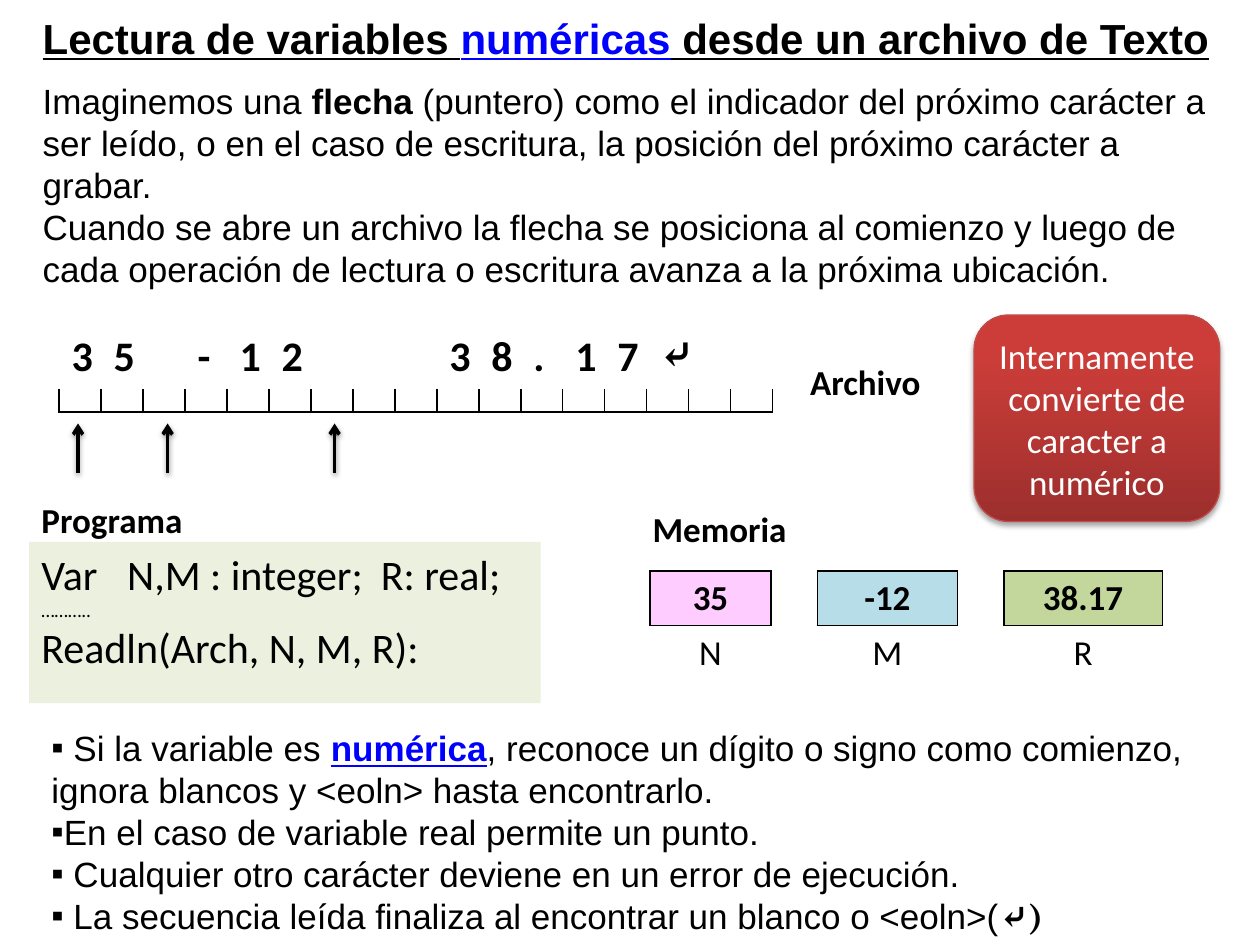
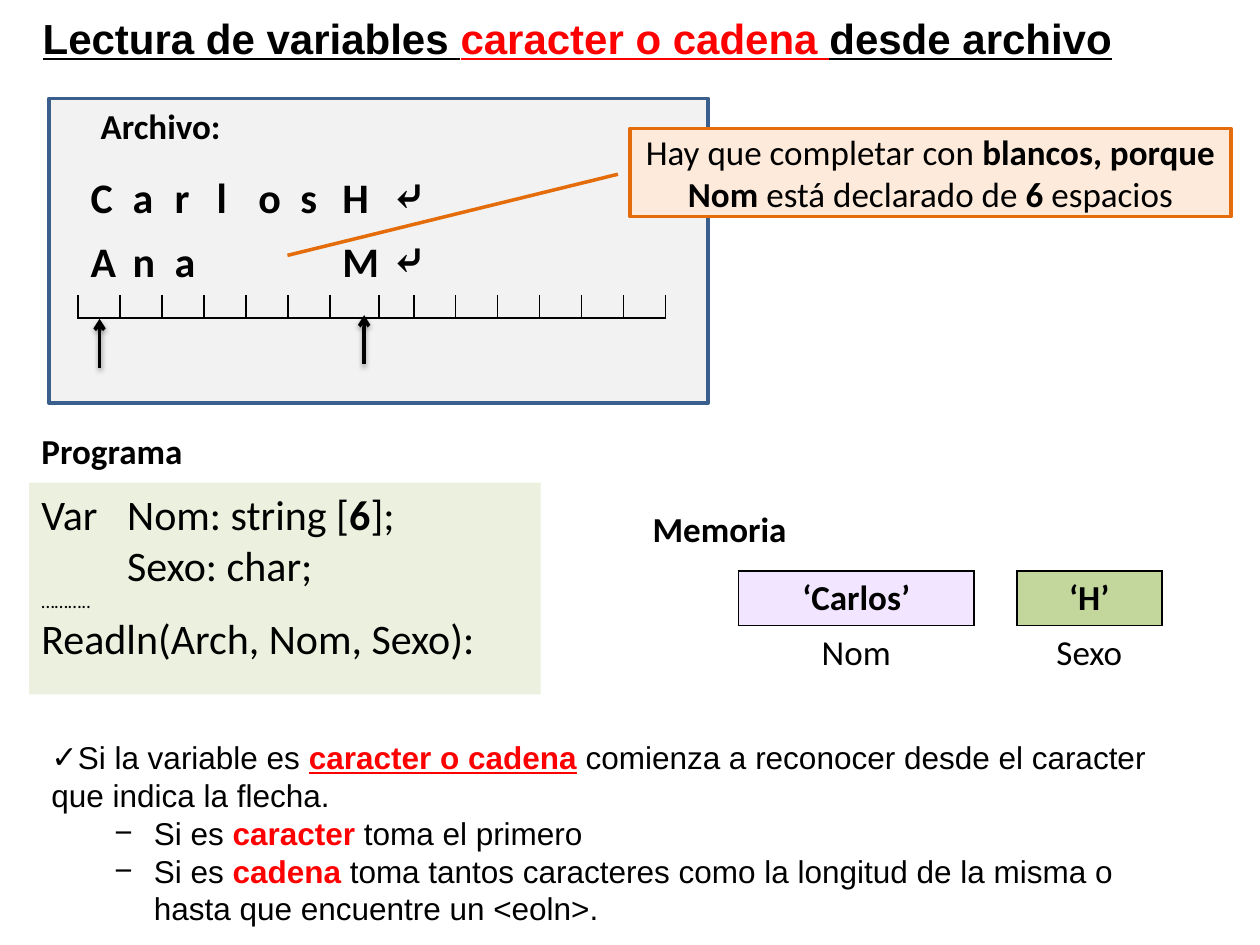
from lxml import etree
from pptx import Presentation
from pptx.dml.color import RGBColor
from pptx.enum.shapes import MSO_CONNECTOR, MSO_SHAPE
from pptx.enum.text import MSO_ANCHOR, PP_ALIGN
from pptx.oxml.ns import qn
from pptx.util import Pt

RECTANGLE = MSO_SHAPE.RECTANGLE
ROUNDED = MSO_SHAPE.ROUNDED_RECTANGLE
CALLOUT = MSO_SHAPE.LINE_CALLOUT_1
STRAIGHT = MSO_CONNECTOR.STRAIGHT
CENTER, LEFT = PP_ALIGN.CENTER, PP_ALIGN.LEFT
TOP, MIDDLE = MSO_ANCHOR.TOP, MSO_ANCHOR.MIDDLE

COLORS = {
    "black": "000000", "white": "FFFFFF", "blue": "0000FF", "red": "FF0000",
    "code": "EBF1DE", "file": "F2F2F2", "file_edge": "3A5F8C",
    "note": "FDEADA", "note_edge": "E46C0A",
    "red_dark": "9C2F2D", "red_light": "CC3D39", "red_edge": "BF4C48",
    "pink": "FFCCFF", "aqua": "B7DEE8", "green": "C3D69B", "lilac": "F2E5FF",
}
HEADING, BODY, SYMBOL = "Arial", "Calibri", "Cambria"
RETURN = "⤶"
ELLIPSIS = "……….."
NO_STYLE = "{2D5ABB26-0587-4C30-8999-92F81FD0307C}"
CELL = 24
CODE_TABS = (49, 194)
BOLD = {"bold": True}
RED = {"bold": True, "color": "red"}


def rgb(name):
    return RGBColor.from_string(COLORS[name])


def points(box):
    return [Pt(value) for value in box]


def style_font(font, size=None, name=None, color=None, bold=None, underline=None):
    if size:
        font.size = Pt(size)
    if name:
        font.name = name
    if color:
        font.color.rgb = rgb(color)
    if bold is not None:
        font.bold = bold
    if underline is not None:
        font.underline = underline


def write_para(para, spans, align=LEFT, before=0, **style):
    """Fill a paragraph from strings and (string, overrides) pairs."""
    para.alignment = align
    para.space_before = Pt(before)
    style_font(para.font, **{"color": "black", **style})
    for span in [spans] if isinstance(spans, str) else spans:
        text, overrides = (span, {}) if isinstance(span, str) else span
        run = para.add_run()
        run.text = text
        style_font(run.font, **overrides)


def next_para(frame):
    first = frame.paragraphs[0]
    return frame.add_paragraph() if first.runs else first


def add_text(page, box):
    frame = page.shapes.add_textbox(*points(box)).text_frame
    frame.word_wrap = True
    return frame


def add_panel(page, kind, box, fill=None, edge=None, edge_width=2, anchor=TOP):
    panel = page.shapes.add_shape(kind, *points(box))
    panel.shadow.inherit = False
    if fill:
        panel.fill.solid()
        panel.fill.fore_color.rgb = rgb(fill)
    if edge:
        panel.line.color.rgb = rgb(edge)
        panel.line.width = Pt(edge_width)
    else:
        panel.line.fill.background()
    panel.text_frame.word_wrap = True
    panel.text_frame.vertical_anchor = anchor
    return panel


def add_drop_shadow(shape, opacity, distance):
    properties = shape.element.spPr
    effects = properties.find(qn("a:effectLst"))
    if effects is None:
        effects = etree.SubElement(properties, qn("a:effectLst"))
    shadow = etree.SubElement(effects, qn("a:outerShdw"), blurRad=str(Pt(3.1)),
                              dist=str(Pt(distance)), dir="5400000", rotWithShape="0")
    color = etree.SubElement(shadow, qn("a:srgbClr"), val=COLORS["black"])
    etree.SubElement(color, qn("a:alpha"), val=str(opacity * 1000))


def set_bullet(para, mark, margin=0, indent=0):
    properties = para._p.get_or_add_pPr()
    properties.set("marL", str(Pt(margin)))
    properties.set("indent", str(Pt(indent)))
    font = etree.Element(qn("a:buFont"), typeface=HEADING)
    char = etree.Element(qn("a:buChar"), char=mark)
    default = properties.find(qn("a:defRPr"))
    default.addprevious(font)
    default.addprevious(char)


def set_tabs(para, stops):
    tabs = etree.Element(qn("a:tabLst"))
    for stop in stops:
        etree.SubElement(tabs, qn("a:tab"), pos=str(Pt(stop)), algn="l")
    para._p.get_or_add_pPr().find(qn("a:defRPr")).addprevious(tabs)


def set_cell(cell, fill=None, borders=""):
    """Draw black borders on the sides named by L, R, T, B, then fill the cell."""
    properties = cell._tc.get_or_add_tcPr()
    for side in borders:
        line = etree.SubElement(properties, qn("a:ln" + side), w=str(Pt(1)))
        solid = etree.SubElement(line, qn("a:solidFill"))
        etree.SubElement(solid, qn("a:srgbClr"), val=COLORS["black"])
    if fill:
        cell.fill.solid()
        cell.fill.fore_color.rgb = rgb(fill)
    else:
        cell.fill.background()


def add_plain_table(page, left, top, widths, heights):
    box = (left, top, sum(widths), sum(heights))
    holder = page.shapes.add_table(len(heights), len(widths), *points(box))
    table = holder.table
    table.first_row = table.horz_banding = False
    for style in holder.element.iter(qn("a:tableStyleId")):
        style.text = NO_STYLE
    for column, width in zip(table.columns, widths):
        column.width = Pt(width)
    for row, height in zip(table.rows, heights):
        row.height = Pt(height)
    return table


def add_file_tape(page, left, top, lines, widths, fill):
    """Rows of characters above a ruler with one notch per character."""
    count = len(lines)
    table = add_plain_table(page, left, top, widths, [36.5] * count + [13, 13])
    for row in range(count + 2):
        for column in range(len(widths)):
            cell = table.cell(row, column)
            set_cell(cell, fill, "LRB" if row == count else "T" if row > count else "")
            para = cell.text_frame.paragraphs[0]
            char = lines[row][column:column + 1].strip() if row < count else ""
            if char:
                font = SYMBOL if char == RETURN else BODY
                write_para(para, char, size=24, name=font, bold=True)
            else:
                etree.SubElement(para._p, qn("a:endParaRPr"), sz="500")


def add_memory(page, left, top, variables, gap):
    """Variables are (name, value, width, fill), set side by side."""
    widths = []
    for variable in variables:
        widths += [variable[2], gap]
    table = add_plain_table(page, left, top, widths[:-1], [31, 31])
    for column in range(len(widths) - 1):
        value_cell, name_cell = table.cell(0, column), table.cell(1, column)
        if column % 2:
            set_cell(value_cell, "white")
            set_cell(name_cell, "white")
            continue
        name, value, _, fill = variables[column // 2]
        set_cell(value_cell, fill, "LRTB")
        set_cell(name_cell, "white", "T")
        for cell, text, bold in ((value_cell, value, True), (name_cell, name, False)):
            write_para(cell.text_frame.paragraphs[0], text, CENTER,
                       size=20, name=BODY, bold=bold)


def add_pointer(page, x, bottom, length=28):
    pointer = page.shapes.add_connector(STRAIGHT, *points((x, bottom, x, bottom - length)))
    pointer.line.color.rgb = rgb("black")
    pointer.line.width = Pt(2)
    line = pointer.element.spPr.find(qn("a:ln"))
    etree.SubElement(line, qn("a:tailEnd"), type="arrow")
    add_drop_shadow(pointer, 38, 1.6)


def add_label(page, left, top, text):
    frame = add_text(page, (left, top, 106.5, 31.5))
    write_para(frame.paragraphs[0], text, size=20, name=BODY, bold=True)


def add_heading(page, before, topic, after, height, intro=()):
    frame = add_text(page, (17.3, 3.6, 685.4, height))
    write_para(frame.paragraphs[0], [before, topic, after],
               size=24, name=HEADING, bold=True, underline=True)
    for index, spans in enumerate(intro):
        write_para(next_para(frame), spans, before=0 if index else 9.5,
                   size=20, name=HEADING)


def add_program(page, label_top, box, lines):
    panel = add_panel(page, RECTANGLE, box, "code")
    for spans in lines:
        para = next_para(panel.text_frame)
        write_para(para, spans, size=11 if spans == ELLIPSIS else 24, name=BODY)
        set_tabs(para, CODE_TABS)
    add_label(page, box[0], label_top, "Programa")


def add_rules(page, top, height, size, rules):
    """Rules are (bullet, margin, indent, spans)."""
    frame = add_text(page, (22.3, top, 669.6, height))
    for mark, margin, indent, spans in rules:
        para = next_para(frame)
        write_para(para, spans, size=size, name=HEADING)
        set_bullet(para, mark, margin, indent)


def add_conversion_note(page, box):
    note = add_panel(page, ROUNDED, box, edge="red_edge", edge_width=0.75, anchor=MIDDLE)
    note.fill.gradient()
    note.fill.gradient_angle = 90
    for stop, color, position in zip(note.fill.gradient_stops,
                                     ("red_dark", "red_light"), (0, 0.8)):
        stop.color.rgb = rgb(color)
        stop.position = position
    add_drop_shadow(note, 35, 1.8)
    write_para(note.text_frame.paragraphs[0], "Internamente convierte de caracter a numérico",
               CENTER, size=20, name=BODY, color="white")


def add_padding_note(page, box):
    note = add_panel(page, CALLOUT, box, "note", "note_edge", anchor=MIDDLE)
    for index, value in enumerate((0.52, -0.02, 1.44, -0.57)):
        note.adjustments[index] = value
    write_para(note.text_frame.paragraphs[0],
               ["Hay que completar con ", ("blancos, porque Nom ", BOLD),
                "está declarado de", (" 6", BOLD), " espacios"],
               CENTER, size=20, name=BODY)


def build_numeric_page(page):
    add_heading(page, "Lectura de variables ", ("numéricas", {"color": "blue"}),
                " desde un archivo de Texto", 177, [
                    ["Imaginemos una ", ("flecha", BOLD),
                     " (puntero) como el indicador del próximo carácter a ser leído, o en el "
                     "caso de escritura, la posición del próximo carácter a grabar."],
                    "Cuando se abre un archivo la flecha se posiciona al comienzo y luego de "
                    "cada operación de lectura o escritura avanza a la próxima ubicación."])
    add_rules(page, 411.8, 128, 20, [("▪", 0, 0, spans) for spans in (
        [" Si la variable es ",
         ("numérica", {"color": "blue", "bold": True, "underline": True}),
         ", reconoce un dígito o signo como comienzo, ignora blancos y <eoln> hasta encontrarlo."],
        "En el caso de variable real permite un punto.",
        " Cualquier otro carácter deviene en un error de ejecución.",
        [" La secuencia leída finaliza al encontrar un blanco o <eoln>(",
         (RETURN + ")", {"name": SYMBOL, "bold": True})])])
    add_file_tape(page, 33.8, 185.8, ["35 -12   38.17" + RETURN], [CELL] * 17, "white")
    add_label(page, 455.8, 202.3, "Archivo")
    add_program(page, 281.5, (16.6, 309.6, 292.3, 92.2), [
        "Var\tN,M : integer;\tR: real;", ELLIPSIS, "Readln(Arch, N, M, R):"])
    add_label(page, 365.8, 286.6, "Memoria")
    add_memory(page, 371.5, 326.2, [("N", "35", 69, "pink"), ("M", "-12", 80, "aqua"),
                                    ("R", "38.17", 90.5, "green")], 26.6)
    for x in (44.6, 95.8, 191.2):
        add_pointer(page, x, 270)
    add_conversion_note(page, (556.6, 180, 140.4, 118))


def build_text_page(page):
    add_panel(page, RECTANGLE, (28, 56.2, 376.6, 174.2), "file", "file_edge")
    add_heading(page, "Lectura de variables ", ("caracter o cadena ", {"color": "red"}),
                "desde archivo", 55.4)
    add_rules(page, 418.3, 116.6, 18, [
        ("✓", 0, 0, ["Si la variable es ", ("caracter o cadena", {**RED, "underline": True}),
                     " comienza a reconocer desde el caracter que indica la flecha."]),
        ("−", 58.5, -22.5, ["Si es ", ("caracter", RED), " toma el primero"]),
        ("−", 58.5, -22.5, ["Si es ", ("cadena", RED),
                            " toma tantos caracteres como la longitud de la misma o hasta "
                            "que encuentre un <eoln>."])])
    add_file_tape(page, 44.6, 95.5, ["CarlosH" + RETURN, "Ana".ljust(6) + "M" + RETURN],
                  [CELL] * 6 + [28, 20] + [CELL] * 6, None)
    add_label(page, 50.4, 56.2, "Archivo:")
    add_program(page, 242, (16.6, 275.8, 292.3, 121), [
        ["Var\tNom: string [", ("6", BOLD), "];"], "\tSexo: char;", ELLIPSIS,
        "Readln(Arch, Nom, Sexo):"])
    add_label(page, 365.8, 286.6, "Memoria")
    add_memory(page, 422, 326.2, [("Nom", "‘Carlos’", 134.6, "lilac"),
                                  ("Sexo", "‘H’", 82.8, "green")], 24.5)
    add_pointer(page, 56.9, 210.2)
    add_pointer(page, 208.1, 208.1)
    add_padding_note(page, (360, 73.4, 343.4, 50.4))


def main():
    deck = Presentation()
    deck.slide_width, deck.slide_height = Pt(720), Pt(540)
    blank = deck.slide_layouts[6]
    for build in (build_numeric_page, build_text_page):
        build(deck.slides.add_slide(blank))
    deck.save("out.pptx")


if __name__ == "__main__":
    main()
